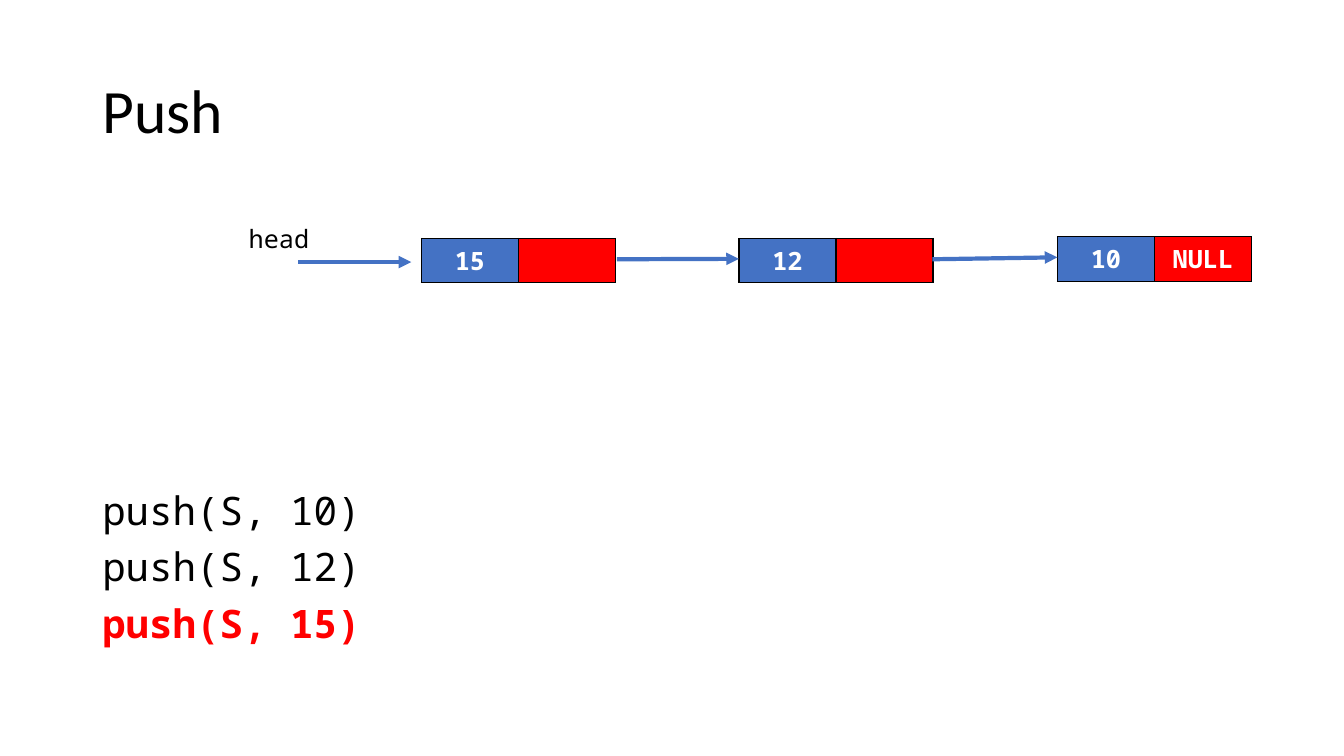
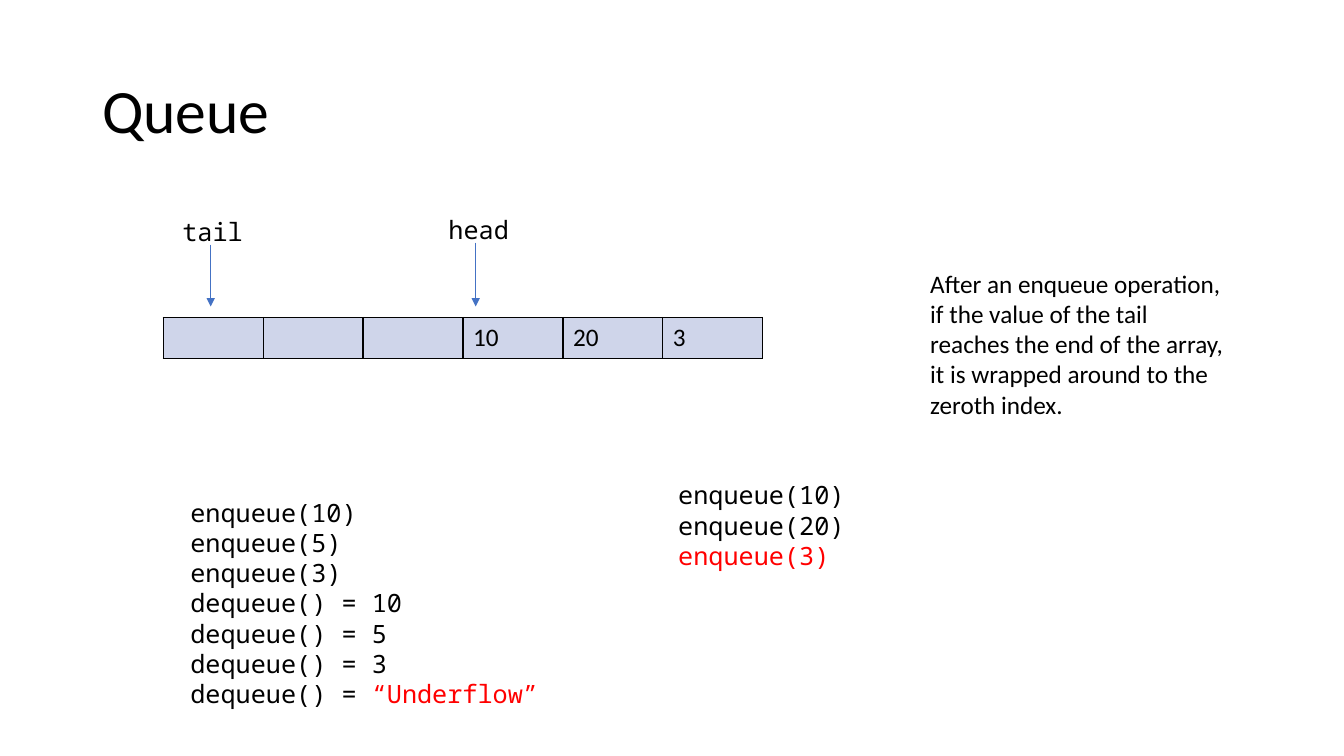
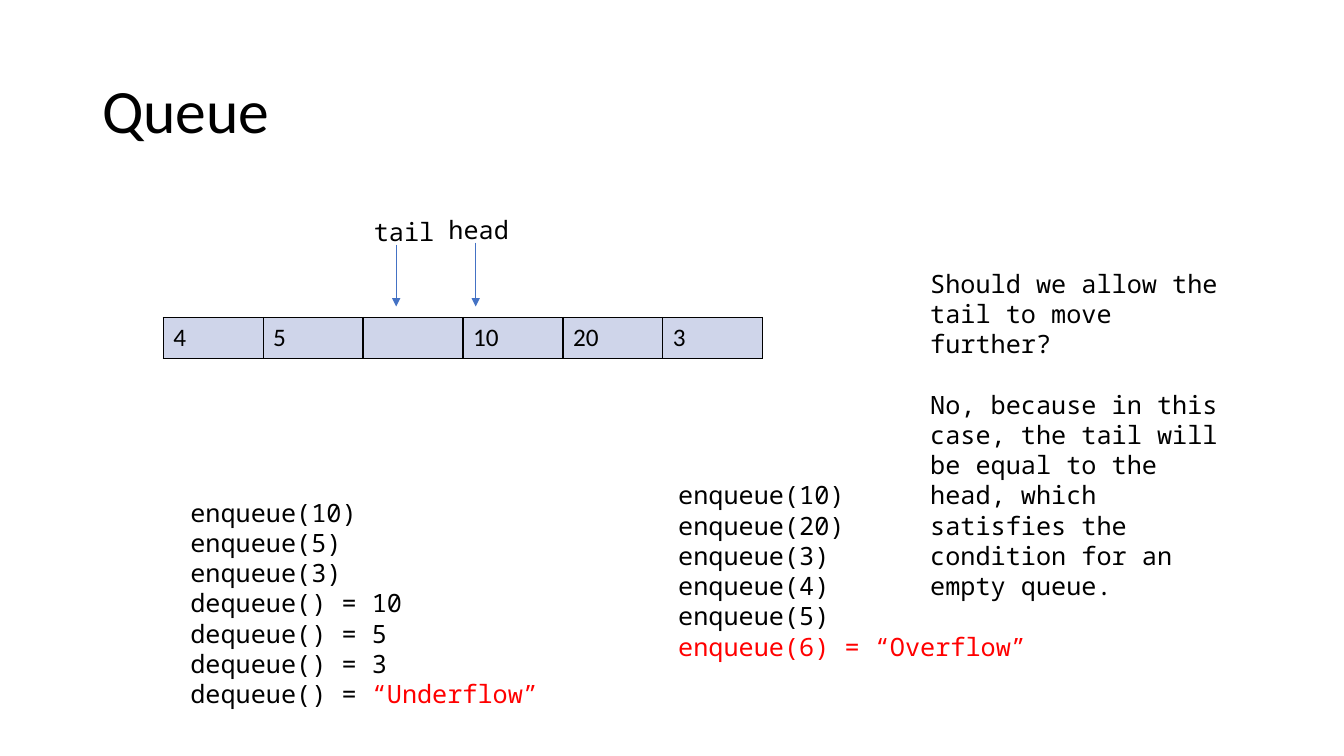
from dataclasses import dataclass

from lxml.etree import SubElement
from pptx import Presentation
from pptx.dml.color import RGBColor
from pptx.enum.shapes import MSO_CONNECTOR
from pptx.enum.text import MSO_ANCHOR, MSO_AUTO_SIZE, PP_ALIGN
from pptx.oxml.ns import qn
from pptx.util import Pt


@dataclass(frozen=True)
class Theme:
    black: str = "000000"
    white: str = "FFFFFF"
    red: str = "FF0000"
    blue: str = "4472C4"
    pale: str = "CFD5EA"
    sans: str = "Calibri"
    mono: str = "Noto Sans Mono"
    title: int = 44
    body: int = 28
    label: int = 18
    thick: float = 3
    thin: float = 0.5
    border: float = 1


T = Theme()
RED = {"color": T.red}


def write(p, text, font=T.mono, size=T.label, color=T.black, bold=False):
    r = p.add_run()
    r.text = text
    r.font.name = font
    r.font.size = Pt(size)
    r.font.bold = bold
    r.font.color.rgb = RGBColor.from_string(color)


class Deck:
    def __init__(self):
        self.prs = Presentation()
        self.prs.slide_width = Pt(960)
        self.prs.slide_height = Pt(540)
        self.s = None

    def slide(self, title):
        self.s = self.prs.slides.add_slide(self.prs.slide_layouts[6])
        self.text(66, 28.8, 828, 104.4, [title], anchor=MSO_ANCHOR.MIDDLE,
                  grow=False, line=0.9, font=T.sans, size=T.title)

    def text(self, x, y, w, h, paragraphs, anchor=MSO_ANCHOR.TOP, grow=True,
             line=1.0, gap=0, **fmt):
        tf = self.s.shapes.add_textbox(Pt(x), Pt(y), Pt(w), Pt(h)).text_frame
        tf.word_wrap = True
        tf.vertical_anchor = anchor
        tf.auto_size = MSO_AUTO_SIZE.SHAPE_TO_FIT_TEXT if grow else MSO_AUTO_SIZE.NONE
        for i, runs in enumerate(paragraphs):
            p = tf.add_paragraph() if i else tf.paragraphs[0]
            p.line_spacing = line
            p.space_before = Pt(gap if i else 0)
            for run in [(runs, {})] if isinstance(runs, str) else runs:
                write(p, run[0], **{**fmt, **run[1]})

    def arrow(self, x1, y1, x2, y2, width):
        sp = self.s.shapes.add_connector(
            MSO_CONNECTOR.STRAIGHT, Pt(x1), Pt(y1), Pt(x2), Pt(y2))
        sp.line.color.rgb = RGBColor.from_string(T.blue)
        sp.line.width = Pt(width)
        SubElement(sp.line._get_or_add_ln(), qn("a:tailEnd"), type="triangle")
        SubElement(sp._element.spPr, qn("a:effectLst"))

    def row(self, x, y, col, h, values, fills, align=PP_ALIGN.LEFT, **fmt):
        table = self.s.shapes.add_table(
            1, len(values), Pt(x), Pt(y), Pt(col * len(values)), Pt(h)).table
        table.first_row = table.horz_banding = False
        table.rows[0].height = Pt(h)
        for i, (value, fill) in enumerate(zip(values, fills)):
            table.columns[i].width = Pt(col)
            cell = table.cell(0, i)
            self.borders(cell)
            cell.fill.solid()
            cell.fill.fore_color.rgb = RGBColor.from_string(fill)
            p = cell.text_frame.paragraphs[0]
            p.alignment = align
            if value:
                write(p, value, **fmt)

    def borders(self, cell):
        tcPr = cell._tc.get_or_add_tcPr()
        for side in "LRTB":
            ln = SubElement(tcPr, qn(f"a:ln{side}"), w=str(Pt(T.border)))
            fill = SubElement(ln, qn("a:solidFill"))
            SubElement(fill, qn("a:srgbClr"), val=T.black)

    def node(self, x, y, h, value, link=""):
        self.row(x, y, 69.3, h, [value, link], [T.blue, T.red],
                 align=PP_ALIGN.CENTER, color=T.white, bold=True)

    def pointer(self, name, x, y, tip_x):
        self.arrow(tip_x, y + 23.5, tip_x, 218.9, T.thin)
        self.text(x, y, 72.7, 29.1, [name])

    def queue(self, values, tail_x, tail_tip, calls, note, **note_fmt):
        self.slide("Queue")
        self.row(116.6, 226.8, 71.4, 29.2, values, [T.pale] * len(values),
                 font=T.sans)
        self.pointer("tail", tail_x, 151.2, tail_tip)
        self.pointer("head", 313.2, 149.8, 339.8)
        self.text(128.9, 351.4, 266.4, 159.8, FIRST_CALLS)
        self.text(477.4, 339.1, 266.4, 21.6 * len(calls) + 7.2, calls)
        self.text(657.4, 187.9, 226.1, 116.6, note, **note_fmt)


FIRST_CALLS = [
    "enqueue(10)", "enqueue(5)", "enqueue(3)",
    "dequeue() = 10", "dequeue() = 5", "dequeue() = 3",
    [("dequeue() = ", {}), ("“Underflow”", RED)],
]


def main():
    deck = Deck()

    deck.slide("Push")
    deck.text(66, 347.5, 828, 139, [
        "push(S, 10)", "push(S, 12)",
        [("push(S, 15)", {"color": T.red, "bold": True})],
    ], grow=False, line=0.9, gap=10, size=T.body)
    deck.node(301, 170.3, 31.4, "15")
    deck.node(527.8, 170.3, 29.2, "12")
    deck.node(755.3, 169.2, 29.2, "10", "NULL")
    deck.arrow(213.1, 187.2, 293.8, 187.2, T.thick)
    deck.arrow(440.6, 185.2, 527.8, 184.9, T.thick)
    deck.arrow(666, 185.2, 755.3, 183.8, T.thick)
    deck.text(170.6, 156.2, 107.3, 29.1, ["head"])

    deck.queue(
        ["", "", "", "10", "20", "3"], 123.1, 150.5,
        ["enqueue(10)", "enqueue(20)", [("enqueue(3)", RED)]],
        ["After an enqueue operation, if the value of the tail reaches the end "
         "of the array, it is wrapped around to the zeroth index."],
        font=T.sans)

    deck.queue(
        ["4", "5", "", "10", "20", "3"], 259.9, 283,
        ["enqueue(10)", "enqueue(20)", "enqueue(3)", "enqueue(4)", "enqueue(5)",
         [("enqueue(6) = “Overflow”", RED)]],
        ["Should we allow the tail to move further?",
         "No, because in this case, the tail will be equal to the head, which "
         "satisfies the condition for an empty queue."],
        gap=21.6)

    deck.prs.save("out.pptx")


if __name__ == "__main__":
    main()
